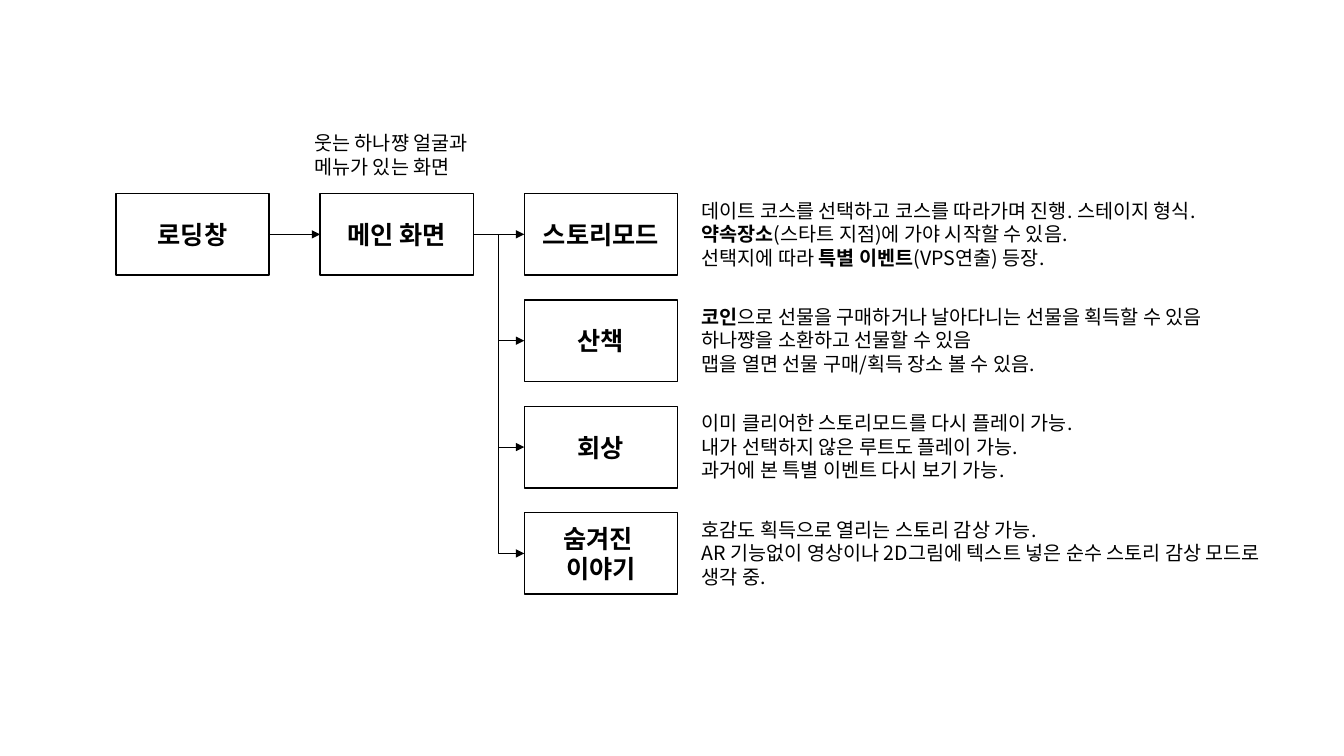
"""Build the game screen flow slide."""
from dataclasses import dataclass

from lxml.etree import SubElement
from pptx import Presentation
from pptx.dml.color import RGBColor
from pptx.enum.shapes import MSO_CONNECTOR as CONN, MSO_SHAPE as SHAPE
from pptx.enum.text import MSO_ANCHOR as ANCHOR, MSO_AUTO_SIZE as AUTO, PP_ALIGN as ALIGN
from pptx.oxml.ns import qn
from pptx.util import Inches, Pt


@dataclass(frozen=True)
class Theme:
    font: str = "Noto Sans CJK KR"
    ink: RGBColor = RGBColor(0, 0, 0)
    title: float = 18
    body: float = 14
    leading: float = 1.2
    border: float = 1
    arrow: float = 0.5


THEME = Theme()
LOADING = ["로딩창"]
MAIN = ["메인 화면"]
MAIN_NOTE = ["웃는 하나쨩 얼굴과 메뉴가 있는 화면"]
MODES = [
    (["스토리모드"], [
        "데이트 코스를 선택하고 코스를 따라가며 진행. 스테이지 형식.",
        "**약속장소**(스타트 지점)에 가야 시작할 수 있음.",
        "선택지에 따라 **특별 이벤트**(VPS연출) 등장."]),
    (["산책"], [
        "**코인**으로 선물을 구매하거나 날아다니는 선물을 획득할 수 있음",
        "하나쨩을 소환하고 선물할 수 있음",
        "맵을 열면 선물 구매/획득 장소 볼 수 있음."]),
    (["회상"], [
        "이미 클리어한 스토리모드를 다시 플레이 가능. ",
        "내가 선택하지 않은 루트도 플레이 가능.",
        "과거에 본 특별 이벤트 다시 보기 가능."]),
    (["숨겨진 ", "이야기"], [
        "호감도 획득으로 열리는 스토리 감상 가능.",
        "AR 기능없이 영상이나 2D그림에 텍스트 넣은 순수 스토리 감상 모드로 생각 중."]),
]

LEFT, TOP = 1.15, 1.92
BOX_W, BOX_H = 1.52, 0.81
COL_STEP, ROW_STEP = 2.025, 1.055
NOTE_X, NOTE_W = 6.86, 5.77
RIGHT_SITE, LEFT_SITE = 3, 1

prs = Presentation()
prs.slide_width, prs.slide_height = Inches(13.33), Inches(7.5)
s = prs.slides.add_slide(prs.slide_layouts[6])


def write(tf, lines, size=THEME.body, bold=False, align=ALIGN.LEFT):
    """Fill a text frame, with ** switching bold on and off."""
    tf.word_wrap = True
    for i, line in enumerate(lines):
        p = tf.paragraphs[0] if i == 0 else tf.add_paragraph()
        p.alignment = align
        p.line_spacing = Pt(size * THEME.leading)
        for j, part in enumerate(line.split("**")):
            if not part:
                continue
            r = p.add_run()
            r.text = part
            r.font.name, r.font.size = THEME.font, Pt(size)
            r.font.bold = bold or j % 2 == 1
            r.font.color.rgb = THEME.ink
            SubElement(r.font._element, qn("a:ea"), typeface=THEME.font)


def add_box(col, row, lines):
    """Add an outlined screen box in a grid cell."""
    sp = s.shapes.add_shape(SHAPE.RECTANGLE, Inches(LEFT + col * COL_STEP),
                            Inches(TOP + row * ROW_STEP), Inches(BOX_W), Inches(BOX_H))
    sp.shadow.inherit = False
    sp.fill.background()
    sp.line.color.rgb = THEME.ink
    sp.line.width = Pt(THEME.border)
    sp.text_frame.vertical_anchor = ANCHOR.MIDDLE
    write(sp.text_frame, lines, size=THEME.title, bold=True, align=ALIGN.CENTER)
    return sp


def add_note(x, y, w, h, lines):
    """Add a plain description."""
    tf = s.shapes.add_textbox(Inches(x), Inches(y), Inches(w), Inches(h)).text_frame
    tf.auto_size = AUTO.SHAPE_TO_FIT_TEXT
    write(tf, lines)


def add_arrow(start, end):
    """Link two boxes, with an elbow when their rows differ."""
    kind = CONN.STRAIGHT if start.top == end.top else CONN.ELBOW
    cn = s.shapes.add_connector(kind, 0, 0, 0, 0)
    cn.begin_connect(start, RIGHT_SITE)
    cn.end_connect(end, LEFT_SITE)
    cn.line.color.rgb = THEME.ink
    cn.line.width = Pt(THEME.arrow)
    SubElement(cn.line._get_or_add_ln(), qn("a:tailEnd"), type="triangle")
    SubElement(cn._element.spPr, qn("a:effectLst"))


loading = add_box(0, 0, LOADING)
main = add_box(1, 0, MAIN)
modes = [add_box(2, row, name) for row, (name, _) in enumerate(MODES)]

add_arrow(loading, main)
for mode in modes:
    add_arrow(main, mode)

for row, (_, lines) in enumerate(MODES):
    add_note(NOTE_X, TOP + row * ROW_STEP, NOTE_W, BOX_H, lines)
add_note(3.02, 1.25, 1.93, 0.57, MAIN_NOTE)

prs.save("out.pptx")
